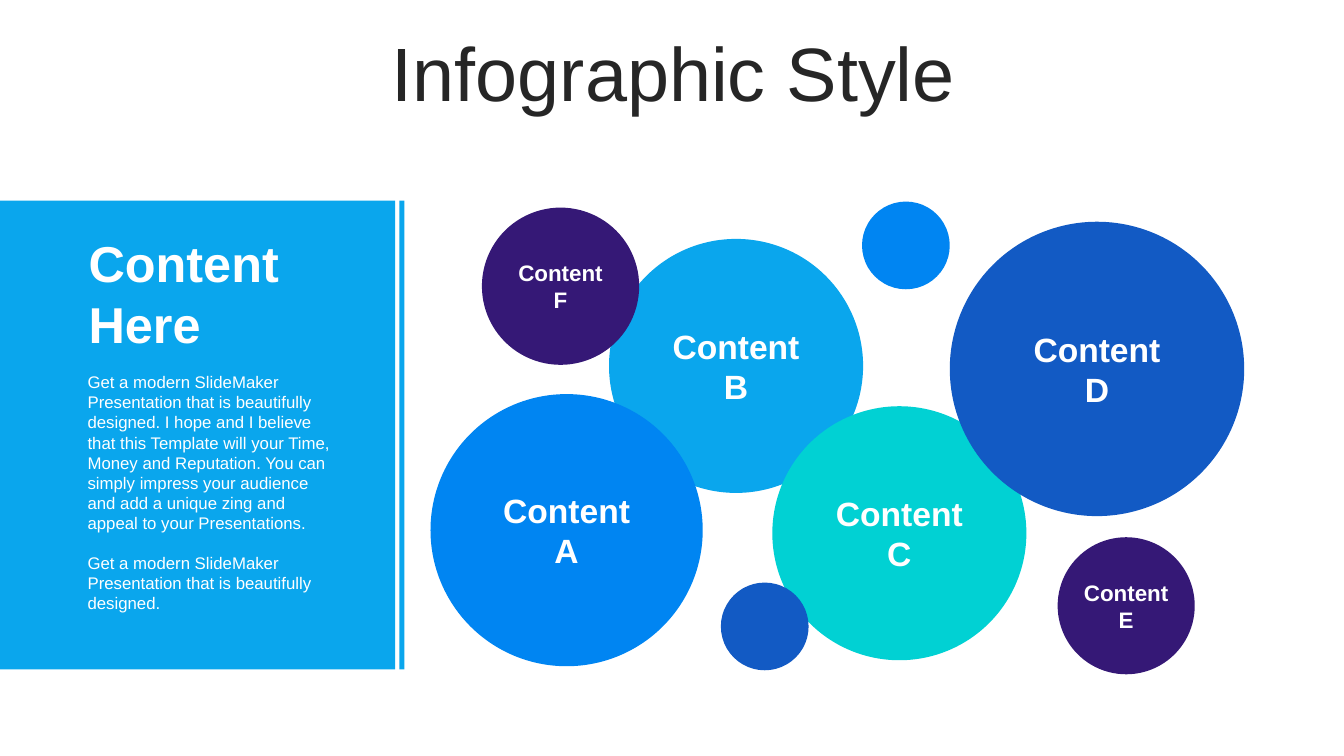
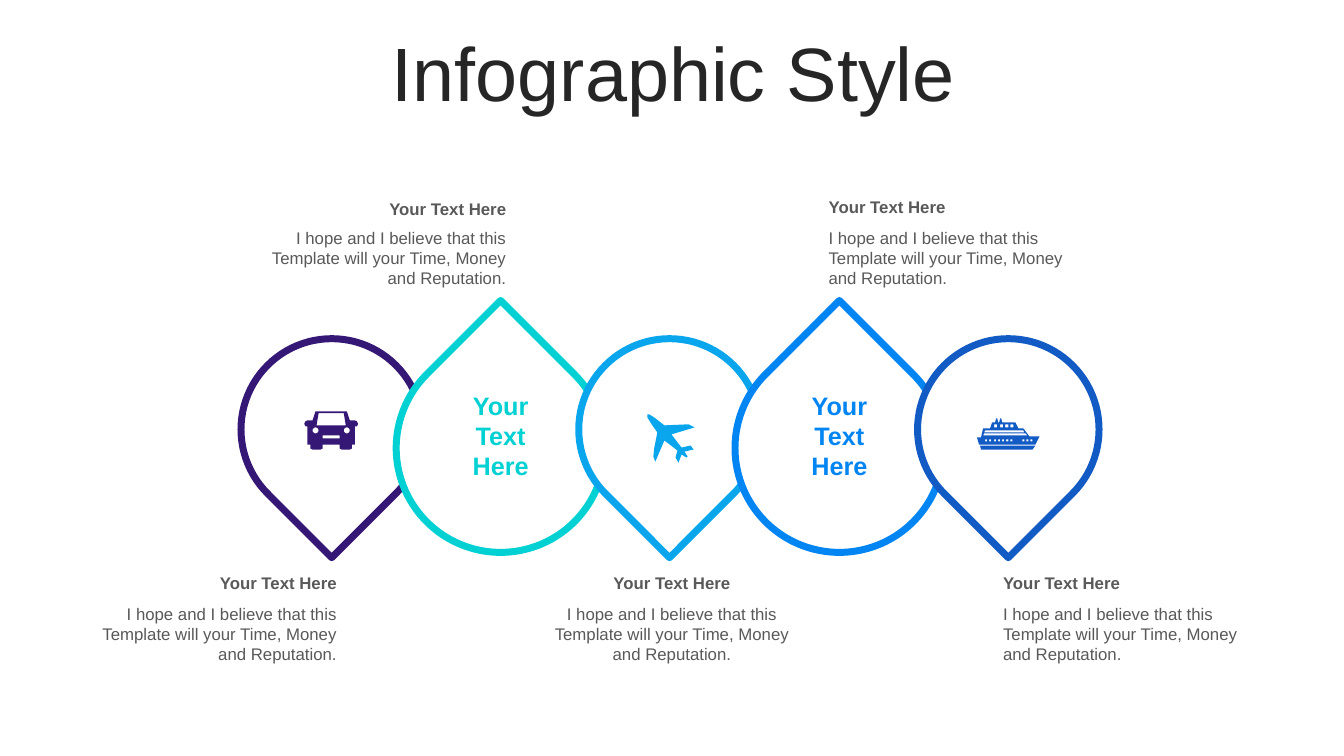
from math import cos, pi, sin

from pptx import Presentation
from pptx.dml.color import RGBColor
from pptx.enum.shapes import MSO_SHAPE
from pptx.enum.text import MSO_ANCHOR, PP_ALIGN
from pptx.util import Pt

PX = 9144  # 100 px to the inch
FONT = "Arial"
RECT, OVAL, TEAR = MSO_SHAPE.RECTANGLE, MSO_SHAPE.OVAL, MSO_SHAPE.TEAR
LEFT, MID, RIGHT = PP_ALIGN.LEFT, PP_ALIGN.CENTER, PP_ALIGN.RIGHT
TOP, CENTER = MSO_ANCHOR.TOP, MSO_ANCHOR.MIDDLE

WHITE, INK, GREY = "FFFFFF", "262626", "595959"
SKY, AZURE, TEAL = "0AA6ED", "0085F2", "01D1D3"
COBALT, PLUM = "125AC4", "351876"

INTRO = [
    "Get a modern SlideMaker Presentation that is beautifully designed. "
    "I hope and I believe that this Template will your Time, Money and "
    "Reputation. You can simply impress your audience and add a unique zing "
    "and appeal to your Presentations.",
    "Get a modern SlideMaker Presentation that is beautifully designed.",
]
HEAD = "Your Text Here"
BODY = ("I hope and I believe that this Template will your Time, "
        "Money and Reputation.")

# Left, top, diameter, colour, letter, text size
BUBBLES = [
    (604, 237, 252, SKY, "B", 24),
    (427, 391, 270, AZURE, "A", 24),
    (766, 403, 252, TEAL, "C", 24),
    (942, 220, 292, COBALT, "D", 24),
    (1049, 533, 136, PLUM, "E", 16),
    (478, 206, 156, PLUM, "F", 16),
    (855, 200, 87, AZURE, "", 0),
    (715, 578, 87, COBALT, "", 0),
]

# Left, heading top, body top, width, alignment
NOTES = [
    (985, 563, 594, 269, LEFT),
    (525, 563, 594, 283, MID),
    (812, 190, 221, 274, LEFT),
    (238, 192, 221, 274, RIGHT),
    (61, 563, 594, 283, RIGHT),
]

CAR = [
    (313, 408), (344, 408), (347, 417), (352, 417), (354, 418), (355, 420),
    (355, 421), (354, 423), (352, 423), (352, 441), (349, 441), (349, 445),
    (347, 446), (339, 446), (337, 445), (337, 441), (320, 441), (320, 445),
    (318, 446), (310, 446), (308, 445), (308, 441), (305, 441), (305, 423),
    (303, 423), (302, 421), (302, 420), (303, 418), (305, 417), (310, 417),
]
SCREEN = [(316, 410), (314, 422), (343, 422), (341, 410)]
PLANE = [
    (688, 446), (679, 448), (682, 453), (681, 454), (676, 451), (673, 459),
    (670, 454), (672, 447), (659, 437), (650, 458), (648, 453), (649, 444),
    (652, 429), (647, 422), (642, 414), (642, 411), (644, 411), (650, 415),
    (659, 422), (683, 421), (689, 424), (666, 431), (676, 444), (685, 442),
]
SHIP = [
    (992, 415), (993, 415), (994, 419), (1007, 419), (1010, 425), (1015, 425),
    (1021, 433), (1031, 433), (1027, 441), (971, 441), (969, 434), (973, 434),
    (975, 425), (982, 425), (984, 419), (987, 419), (988, 415), (989, 415),
    (990, 419), (991, 419),
]
KEEL = [(972, 442), (1027, 442), (1024, 446), (973, 446)]
DECKS = [
    [(976, 430), (975, 432), (1019, 432), (1017, 430)],
    [(977, 427), (976, 429), (1016, 429), (1015, 427)],
]
PORTS = [977, 981, 986, 990, 994, 998, 1002, 1014, 1018, 1022]
PANES = [986, 992, 997, 1002]


def rgb(code):
    return RGBColor.from_string(code)


def paint(shape, fill, line=None, width=0):
    shape.shadow.inherit = False
    shape.fill.solid()
    shape.fill.fore_color.rgb = rgb(fill)
    if line:
        shape.line.color.rgb = rgb(line)
        shape.line.width = Pt(width)
    else:
        shape.line.fill.background()
    return shape


def form(slide, kind, x, y, w, h, fill, line=None, width=0):
    shape = slide.shapes.add_shape(kind, x * PX, y * PX, w * PX, h * PX)
    return paint(shape, fill, line, width)


def write(frame, lines, size, color, bold=False, align=LEFT, anchor=TOP):
    frame.word_wrap = True
    frame.vertical_anchor = anchor
    for i, line in enumerate(lines):
        para = frame.paragraphs[0] if i == 0 else frame.add_paragraph()
        para.text = line
        para.alignment = align
        font = para.font
        font.name, font.size, font.bold = FONT, Pt(size), bold
        font.color.rgb = rgb(color)
    return frame


def label(slide, x, y, w, h, lines, *style, **more):
    box = slide.shapes.add_textbox(x * PX, y * PX, w * PX, h * PX)
    return write(box.text_frame, lines, *style, **more)


def bubble(slide, x, y, size, color, letter, points):
    shape = form(slide, OVAL, x, y, size, size, color)
    if letter:
        frame = shape.text_frame
        frame.margin_left = frame.margin_right = 0
        write(frame, ["Content", letter], points, WHITE, True, MID, CENTER)


def note(slide, x, top, y, w, align):
    label(slide, x, top, w, 30, [HEAD], 12, GREY, True, align)
    label(slide, x, y, w, 71, [BODY], 12, GREY, align=align)


def box(x, y, w, h):
    return [(x, y), (x + w, y), (x + w, y + h), (x, y + h)]


def ring(x, y, r, count=16):
    turns = [2 * pi * i / count for i in range(count)]
    return [(x + r * cos(t), y + r * sin(t)) for t in turns]


def icon(slide, color, *loops):
    """Draw closed outlines as one shape; inner loops become holes."""
    pen = slide.shapes.build_freeform(scale=PX / 10)
    for loop in loops:
        tenths = [(round(x * 10), round(y * 10)) for x, y in loop]
        pen.move_to(*tenths[0])
        pen.add_line_segments(tenths[1:], close=True)
    # The pen starts at the origin, so its first point must not count.
    pen._start_x, pen._start_y = (round(v * 10) for v in loops[0][0])
    paint(pen.convert_to_shape(), color)


def page(deck):
    slide = deck.slides.add_slide(deck.slide_layouts[6])
    frame = label(slide, 35, 37, 1266, 79, ["Infographic Style"], 54, INK,
                  align=MID, anchor=CENTER)
    frame.paragraphs[0].line_spacing = 0.9
    return slide


def bubbles(deck):
    slide = page(deck)
    for x, w in ((0, 392), (396, 5)):
        form(slide, RECT, x, 199, w, 465, SKY)
    for item in BUBBLES:
        bubble(slide, *item)
    label(slide, 78, 225, 269, 131, ["Content Here"], 36, WHITE, True,
          anchor=CENTER)
    frame = label(slide, 77, 364, 269, 252, INTRO, 12, WHITE)
    frame.paragraphs[1].space_before = Pt(14)


def drops(deck):
    slide = page(deck)
    for i, color in enumerate((PLUM, TEAL, SKY, AZURE, COBALT)):
        mid = 329 + i * 671 // 4
        size, top, turn = (207, 341, 315) if i % 2 else (180, 336, 135)
        drop = form(slide, TEAR, mid - size // 2, top, size, size,
                    WHITE, color, 5)
        drop.rotation = turn
    for item in NOTES:
        note(slide, *item)
    for x, color in ((449, TEAL), (785, AZURE)):
        label(slide, x, 382, 95, 101, HEAD.split(), 18, color, True, MID)
    icon(slide, PLUM, CAR, SCREEN, ring(313, 427, 3), ring(344, 427, 3),
         box(320, 432, 17, 3))
    ports = [box(x, 436, 2, 2) for x in PORTS]
    panes = [box(x, 421, 3, 3) for x in PANES]
    icon(slide, COBALT, SHIP, KEEL, *DECKS, *ports, *panes)
    icon(slide, SKY, PLANE)


def main():
    deck = Presentation()
    deck.slide_width, deck.slide_height = 1333 * PX, 750 * PX
    bubbles(deck)
    drops(deck)
    deck.save("out.pptx")


if __name__ == "__main__":
    main()
